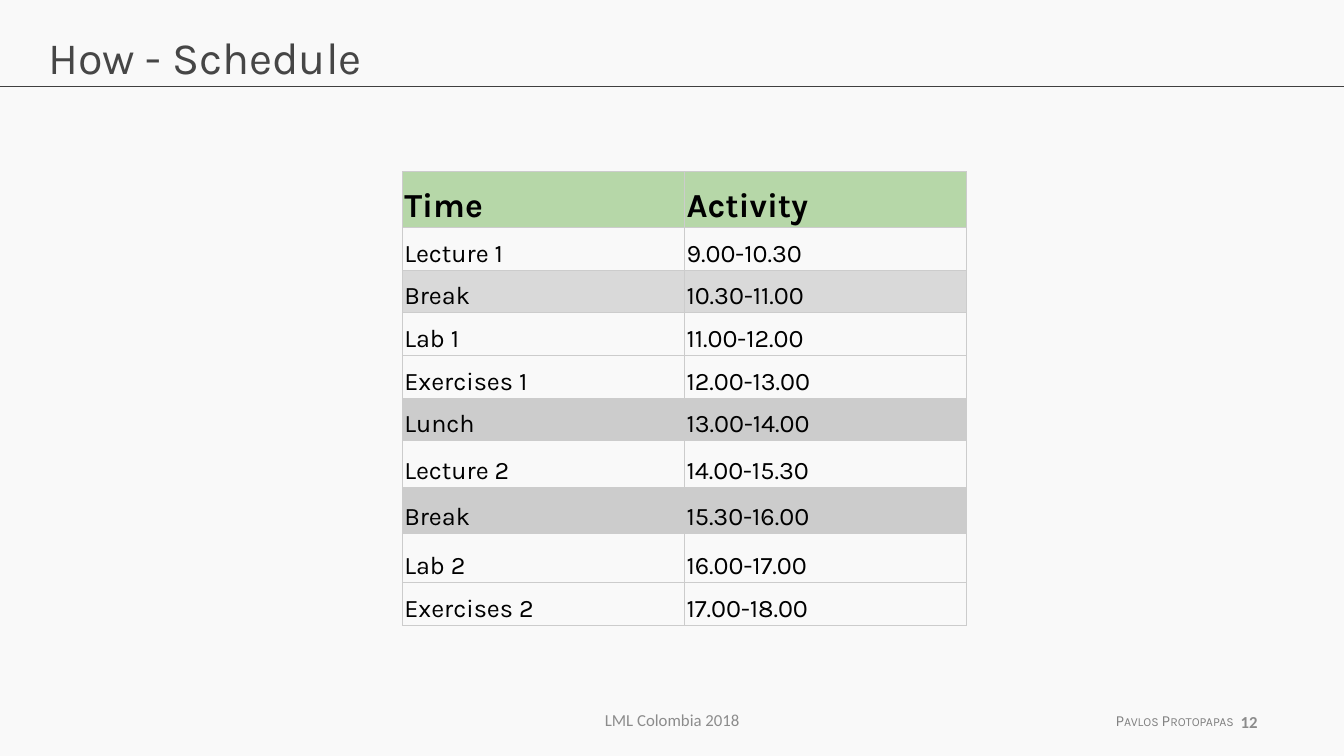
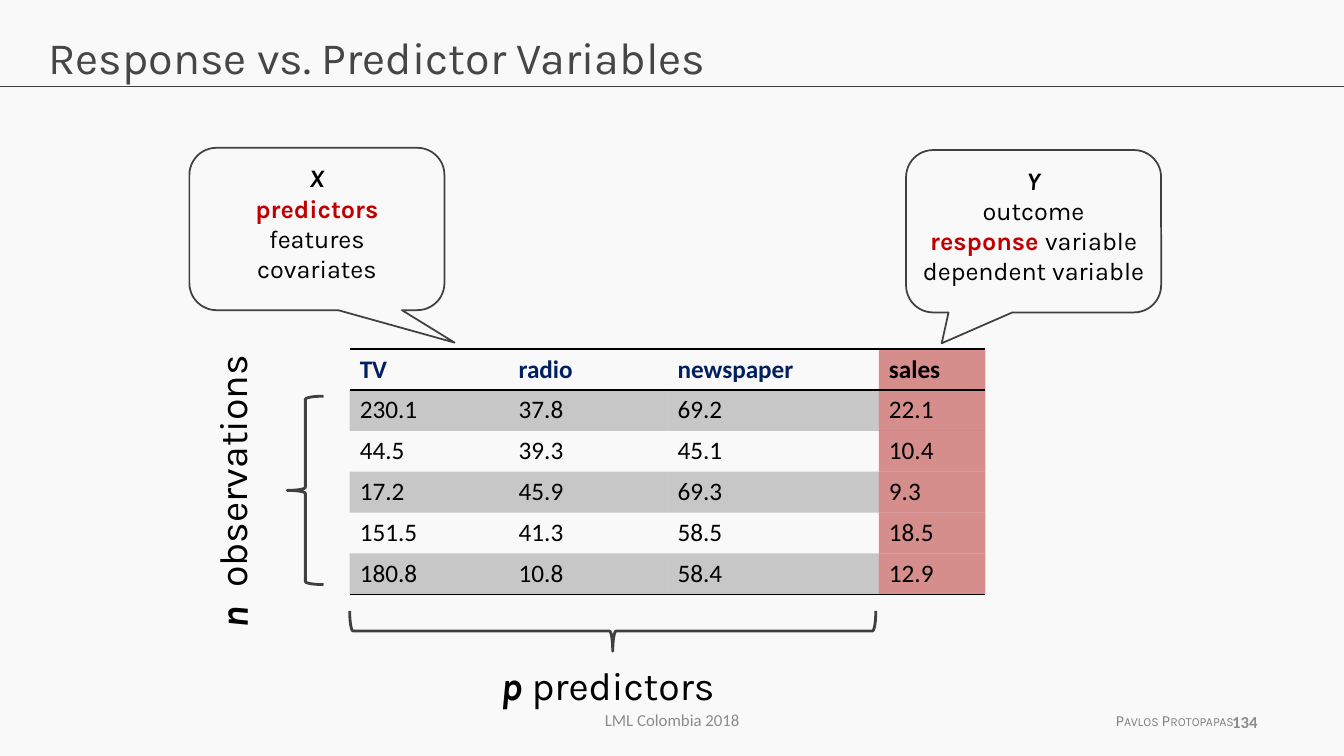
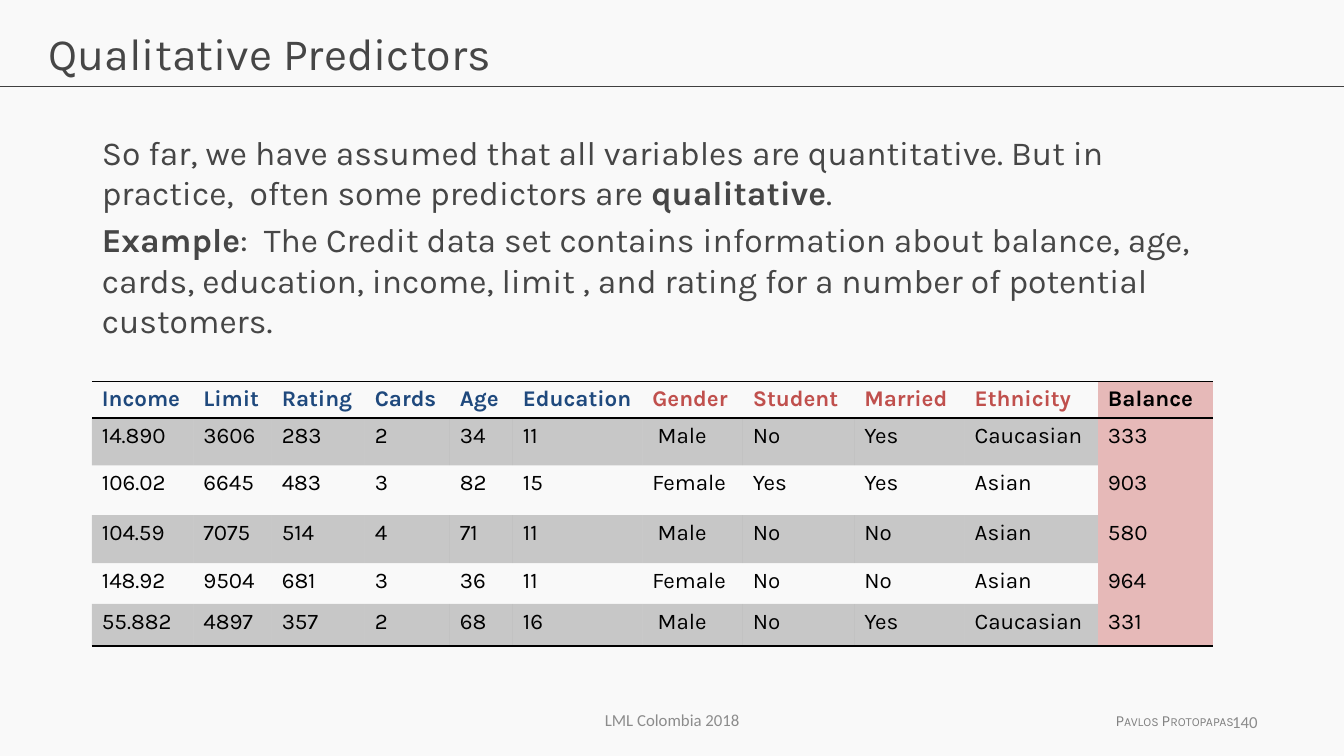
from dataclasses import dataclass
from typing import Callable, NamedTuple, Optional

from lxml.etree import SubElement
from pptx import Presentation
from pptx.dml.color import RGBColor
from pptx.enum.shapes import MSO_CONNECTOR, MSO_SHAPE
from pptx.enum.text import MSO_ANCHOR, MSO_AUTO_SIZE, PP_ALIGN
from pptx.oxml.ns import qn
from pptx.slide import Slide
from pptx.util import Pt


@dataclass(frozen=True)
class Theme:
    back: str = "F9F9F9"
    head: str = "464646"
    line: str = "404040"
    foot: str = "8C8C8C"
    name: str = "808080"
    black: str = "000000"
    navy: str = "002060"
    blue: str = "1F497D"
    red: str = "C0504D"
    key: str = "C00000"
    pink: str = "E6B9B8"
    green: str = "B6D7A8"
    pale: str = "D9D9D9"
    gray: str = "CCCCCC"
    main: str = "Karla"
    side: str = "Calibri"
    title: float = 32
    label: float = 28
    body: float = 24
    text: float = 18
    small: float = 16
    note: float = 12
    tiny: float = 11


T = Theme()


class Box(NamedTuple):
    left: float
    top: float
    width: float
    height: float

    def pts(self) -> tuple:
        return tuple(Pt(v) for v in self)


class Run(NamedTuple):
    text: str
    bold: Optional[bool] = None
    ital: Optional[bool] = None
    ink: Optional[str] = None


@dataclass(frozen=True)
class Type:
    size: float
    ink: str = T.black
    face: str = T.main
    bold: bool = False
    align: PP_ALIGN = PP_ALIGN.LEFT
    gap: float = 0


@dataclass(frozen=True)
class Look:
    type: Type
    fill: Optional[str] = None
    alpha: int = 100
    sides: str = ""
    anchor: MSO_ANCHOR = MSO_ANCHOR.TOP


@dataclass(frozen=True)
class Grid:
    left: float
    top: float
    cols: list[float]
    rows: list[float]
    data: list[list[str]]
    look: Callable[[int, int], Look]
    edge: tuple[str, float] = (T.black, 1)
    pad: tuple[float, float] = (7.2, 3.6)


@dataclass(frozen=True)
class Bubble:
    box: Box
    tail: tuple[float, float]
    lines: list[list[Run]]


@dataclass(frozen=True)
class Brace:
    box: Box
    turn: int
    mark: str
    word: str
    label: Box


def rgb(code: str) -> RGBColor:
    return RGBColor.from_string(code)


def write(frame, paras: list[list[Run]], kind: Type, plain: bool = False) -> None:
    for i, runs in enumerate(paras):
        para = frame.paragraphs[0] if i == 0 else frame.add_paragraph()
        para.alignment = kind.align
        para.space_before = Pt(kind.gap if i else 0)
        if plain:
            props = para._p.get_or_add_pPr()
            props.set("marL", "0")
            props.set("indent", "0")
            SubElement(props, qn("a:buNone"))
        font = para.font
        font.name, font.size, font.bold = kind.face, Pt(kind.size), kind.bold
        font.color.rgb = rgb(kind.ink)
        for item in runs:
            run = para.add_run()
            run.text = item.text
            if item.bold is not None:
                run.font.bold = item.bold
            if item.ital is not None:
                run.font.italic = item.ital
            if item.ink:
                run.font.color.rgb = rgb(item.ink)


def add_text(slide: Slide, box: Box, runs: list[Run], kind: Type,
             wrap: bool = True, anchor: MSO_ANCHOR = MSO_ANCHOR.TOP):
    shape = slide.shapes.add_textbox(*box.pts())
    frame = shape.text_frame
    frame.word_wrap = wrap
    frame.vertical_anchor = anchor
    write(frame, [runs], kind)
    return shape


def fill_holder(holder, box: Box, paras: list[list[Run]], kind: Type) -> None:
    holder.left, holder.top, holder.width, holder.height = box.pts()
    frame = holder.text_frame
    frame.auto_size = MSO_AUTO_SIZE.NONE
    frame.word_wrap = True
    frame.vertical_anchor = MSO_ANCHOR.TOP
    write(frame, paras, kind, plain=True)


def add_slide(deck, title: str, page: str, layout: int = 5,
              top: float = 17.3, strong: bool = True) -> Slide:
    slide = deck.slides.add_slide(deck.slide_layouts[layout])
    rule = slide.shapes.add_connector(
        MSO_CONNECTOR.STRAIGHT, Pt(0), Pt(62), Pt(960), Pt(62))
    rule.line.color.rgb = rgb(T.line)
    rule.line.width = Pt(0.75)
    SubElement(rule._element.spPr, qn("a:effectLst"))
    fill_holder(slide.shapes.title, Box(27.4, top, 905, 60.5),
                [[Run(title)]], Type(T.title, T.head))
    add_text(slide, Box(328.3, 500, 303.8, 28.8), [Run("LML Colombia 2018")],
             Type(T.note, T.foot, T.side, align=PP_ALIGN.CENTER),
             anchor=MSO_ANCHOR.MIDDLE)
    name = add_text(slide, Box(789.8, 504.7, 101.5, 20.9),
                    [Run("Pavlos Protopapas")], Type(T.tiny, T.name), wrap=False)
    name.text_frame.paragraphs[0].runs[0].font._rPr.set("cap", "small")
    add_text(slide, Box(681.5, 501, 224, 28.8), [Run(page)],
             Type(T.note, T.foot, T.side, strong, PP_ALIGN.RIGHT),
             anchor=MSO_ANCHOR.MIDDLE)
    return slide


def add_edges(cell, sides: str, ink: str, width: float) -> None:
    props = cell._tc.get_or_add_tcPr()
    for i, side in enumerate(sides):
        line = SubElement(props, qn(f"a:ln{side}"), w=str(Pt(width)))
        SubElement(SubElement(line, qn("a:solidFill")), qn("a:srgbClr"), val=ink)
        props.insert(i, line)


def paint(cell, look: Look) -> None:
    if look.fill is None:
        cell.fill.background()
        return
    cell.fill.solid()
    cell.fill.fore_color.rgb = rgb(look.fill)
    if look.alpha < 100:
        tint = cell._tc.tcPr.find(".//" + qn("a:srgbClr"))
        SubElement(tint, qn("a:alpha"), val=str(look.alpha * 1000))


def add_grid(slide: Slide, grid: Grid) -> None:
    box = Box(grid.left, grid.top, sum(grid.cols), sum(grid.rows))
    table = slide.shapes.add_table(
        len(grid.rows), len(grid.cols), *box.pts()).table
    table.first_row = table.horz_banding = False
    style = table._tbl.tblPr.find(qn("a:tableStyleId"))
    style.text = "{2D5ABB26-0587-4C30-8999-92F81FD0307C}"
    for col, width in zip(table.columns, grid.cols):
        col.width = Pt(width)
    for row, height in zip(table.rows, grid.rows):
        row.height = Pt(height)
    for r, line in enumerate(grid.data):
        for c, text in enumerate(line):
            cell, look = table.cell(r, c), grid.look(r, c)
            cell.margin_left = cell.margin_right = Pt(grid.pad[0])
            cell.margin_top = cell.margin_bottom = Pt(grid.pad[1])
            cell.vertical_anchor = look.anchor
            write(cell.text_frame, [[Run(text)]], look.type)
            paint(cell, look)
            add_edges(cell, look.sides, *grid.edge)


def add_outline(slide: Slide, kind: MSO_SHAPE, box: Box, width: float):
    shape = slide.shapes.add_shape(kind, *box.pts())
    shape.shadow.inherit = False
    shape.fill.background()
    shape.line.color.rgb = rgb(T.line)
    shape.line.width = Pt(width)
    return shape


def add_bubble(slide: Slide, item: Bubble) -> None:
    shape = add_outline(
        slide, MSO_SHAPE.ROUNDED_RECTANGULAR_CALLOUT, item.box, 1.25)
    for i, value in enumerate((*item.tail, 0.167)):
        shape.adjustments[i] = value
    frame = shape.text_frame
    frame.word_wrap = True
    frame.vertical_anchor = MSO_ANCHOR.TOP
    frame.margin_left = frame.margin_right = Pt(0)
    frame.margin_top = Pt(5)
    write(frame, item.lines, Type(T.text, align=PP_ALIGN.CENTER))


def add_brace(slide: Slide, item: Brace) -> None:
    brace = add_outline(slide, MSO_SHAPE.LEFT_BRACE, item.box, 2)
    brace.rotation = item.turn
    label = add_text(slide, item.label,
                     [Run(item.mark, True, True), Run(item.word)],
                     Type(T.label), wrap=False)
    label.rotation = 270 - item.turn


def band_look(head: Callable[[int], str], last: int, fill: str, alpha: int,
              size: float, face: str, anchor: MSO_ANCHOR) -> Callable[[int, int], Look]:
    def look(r: int, c: int) -> Look:
        top = r == 0
        kind = Type(size, head(c) if top else T.black, face, top)
        sides = "TB" if top else "B" if r == 5 else ""
        place = anchor if top else MSO_ANCHOR.TOP
        if c == last:
            return Look(kind, fill, alpha, sides, place)
        return Look(kind, T.black if r % 2 else None, 20, sides, place)
    return look


def plan_look(r: int, c: int) -> Look:
    fills = {0: T.green, 2: T.pale, 5: T.gray, 7: T.gray}
    kind = Type(T.text if r else T.body, bold=r == 0)
    return Look(kind, fills.get(r), sides="LRTB", anchor=MSO_ANCHOR.BOTTOM)


def draw_plan(deck) -> None:
    slide = add_slide(deck, "How - Schedule", "12")
    add_grid(slide, Grid(
        287.3, 122.4, [201.6] * 2,
        [40, *[30.5] * 5, 33, 33.5, 35, 30.5],
        [["Time", "Activity"],
         ["Lecture 1", "9.00-10.30"],
         ["Break", "10.30-11.00"],
         ["Lab 1", "11.00-12.00"],
         ["Exercises 1", "12.00-13.00"],
         ["Lunch", "13.00-14.00"],
         ["Lecture 2", "14.00-15.30"],
         ["Break", "15.30-16.00"],
         ["Lab 2", "16.00-17.00"],
         ["Exercises 2", "17.00-18.00"]],
        plan_look, (T.gray, 0.5), (1.5, 1)))


def draw_sales(deck) -> None:
    slide = add_slide(deck, "Response vs. Predictor Variables", "134")
    add_grid(slide, Grid(
        249.8, 249.3, [113.5, 113.5, 151, 76], [29.2] * 6,
        [["TV", "radio", "newspaper", "sales"],
         ["230.1", "37.8", "69.2", "22.1"],
         ["44.5", "39.3", "45.1", "10.4"],
         ["17.2", "45.9", "69.3", "9.3"],
         ["151.5", "41.3", "58.5", "18.5"],
         ["180.8", "10.8", "58.4", "12.9"]],
        band_look(lambda c: T.navy if c < 3 else T.black, 3, T.red, 63,
                  T.text, T.side, MSO_ANCHOR.TOP)))
    bubbles = [
        Bubble(Box(135.3, 105.6, 182.2, 116), (0.54, 0.7),
               [[Run("X", True, True)],
                [Run("predictors", True, ink=T.key)],
                [Run("features")],
                [Run("covariates")]]),
        Bubble(Box(647.2, 107.2, 182.2, 116), (-0.36, 0.69),
               [[Run("Y", True, True)],
                [Run("outcome")],
                [Run("response ", True, ink=T.key), Run("variable")],
                [Run("dependent variable")]]),
    ]
    for item in bubbles:
        add_bubble(slide, item)
    braces = [
        Brace(Box(423.3, 262.8, 28.8, 375.8), 270, "p", " predictors",
              Box(350.6, 468.7, 170, 41)),
        Brace(Box(205.2, 283, 25.9, 134.6), 0, "n", "  observations",
              Box(59.8, 329, 212.4, 41)),
    ]
    for item in braces:
        add_brace(slide, item)


def draw_credit(deck) -> None:
    slide = add_slide(deck, "Qualitative Predictors", "140", 1, 15.1, False)
    fill_holder(slide.placeholders[1], Box(65.5, 90.7, 812.9, 166.3), [
        [Run("So far, we have assumed that all variables are quantitative. "
             "But in practice,  often some predictors are "),
         Run("qualitative", True), Run(".")],
        [Run("Example", True),
         Run(":  The Credit data set contains information about balance, age, "
             "cards, education, income, limit , and rating for a number of "
             "potential customers.")],
    ], Type(T.body, T.head, gap=4.8))
    add_grid(slide, Grid(
        65.6, 272.2,
        [72.5, 56, 66.5, 60.8, 45, 92.5, 71.8, 79.6, 78.9, 95.2, 82],
        [25.8, 33.8, 35.5, 34.4, 29, 30.2],
        [["Income", "Limit", "Rating", "Cards", "Age", "Education",
          "Gender", "Student", "Married", "Ethnicity", "Balance"],
         ["14.890", "3606", "283", "2", "34", "11",
          " Male", "No", "Yes", "Caucasian", "333"],
         ["106.02", "6645", "483", "3", "82", "15",
          "Female", "Yes", "Yes", "Asian", "903"],
         ["104.59", "7075", "514", "4", "71", "11",
          " Male", "No", "No", "Asian", "580"],
         ["148.92", "9504", "681", "3", "36", "11",
          "Female", "No", "No", "Asian", "964"],
         ["55.882", "4897", "357", "2", "68", "16",
          " Male", "No", "Yes", "Caucasian", "331"]],
        band_look(lambda c: T.blue if c < 6 else T.red if c < 10 else T.black,
                  10, T.pink, 100, T.small, T.main, MSO_ANCHOR.MIDDLE)))


def main() -> None:
    deck = Presentation()
    deck.slide_width, deck.slide_height = Pt(960), Pt(540)
    back = deck.slide_master.background.fill
    back.solid()
    back.fore_color.rgb = rgb(T.back)
    draw_plan(deck)
    draw_sales(deck)
    draw_credit(deck)
    deck.save("out.pptx")


if __name__ == "__main__":
    main()
